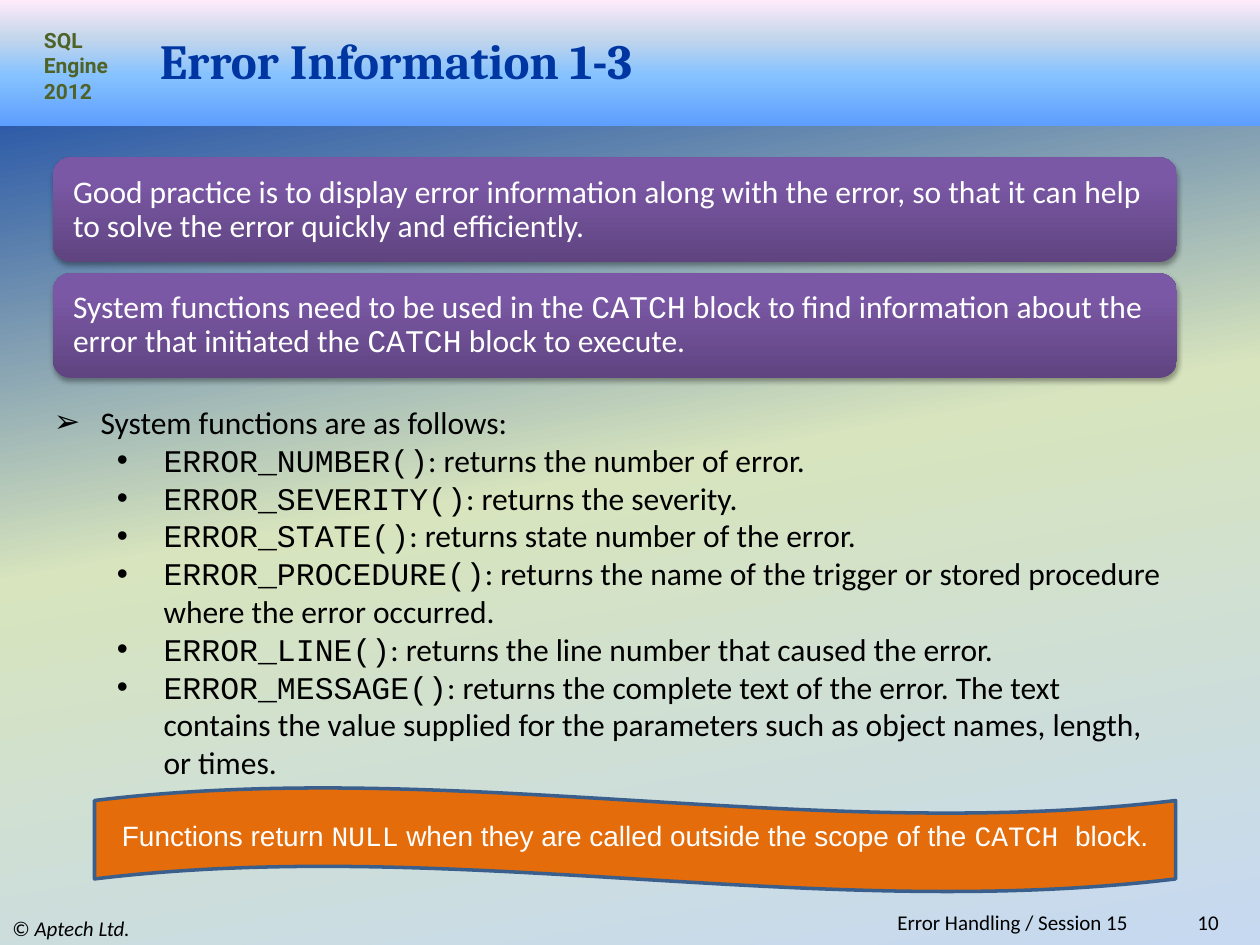
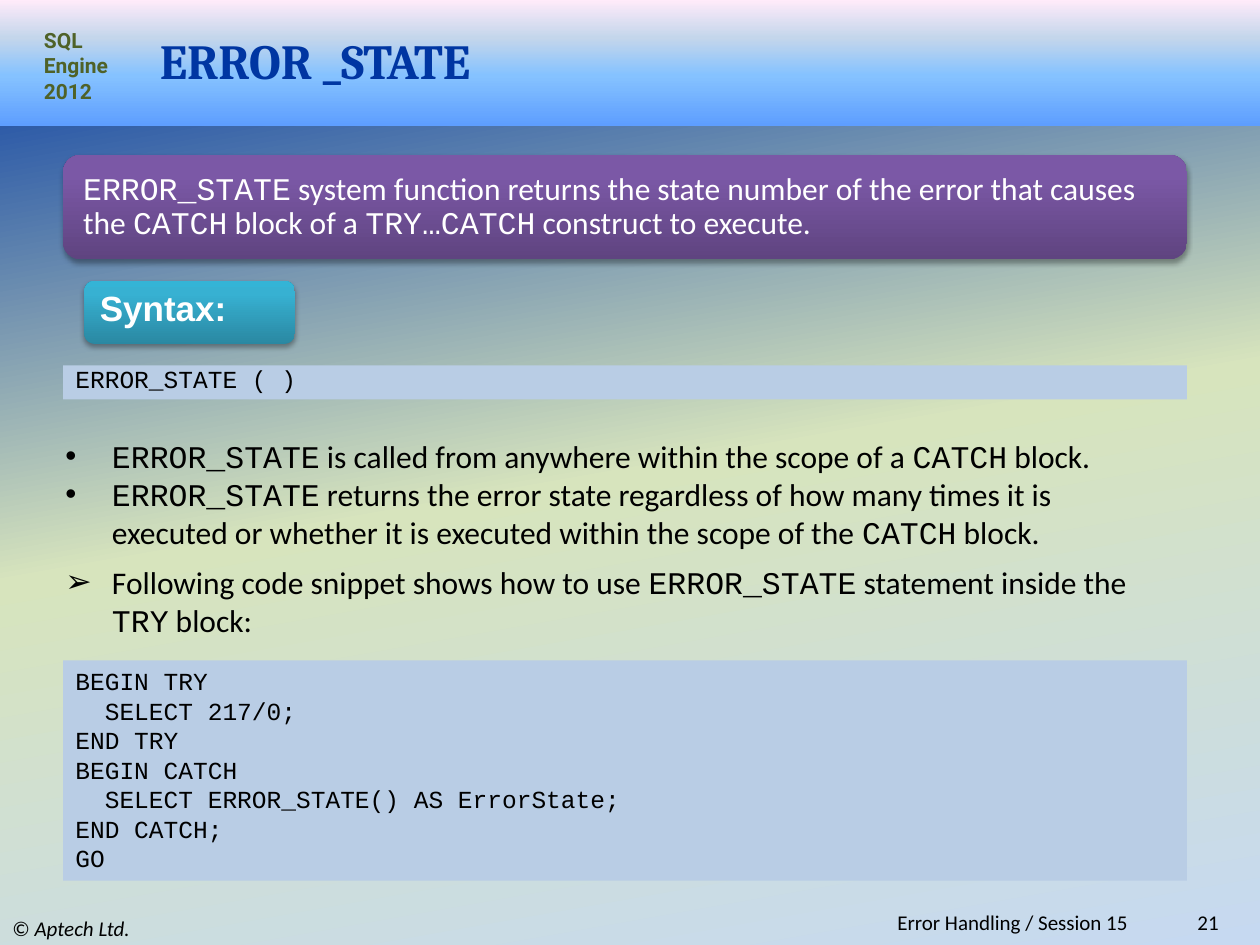
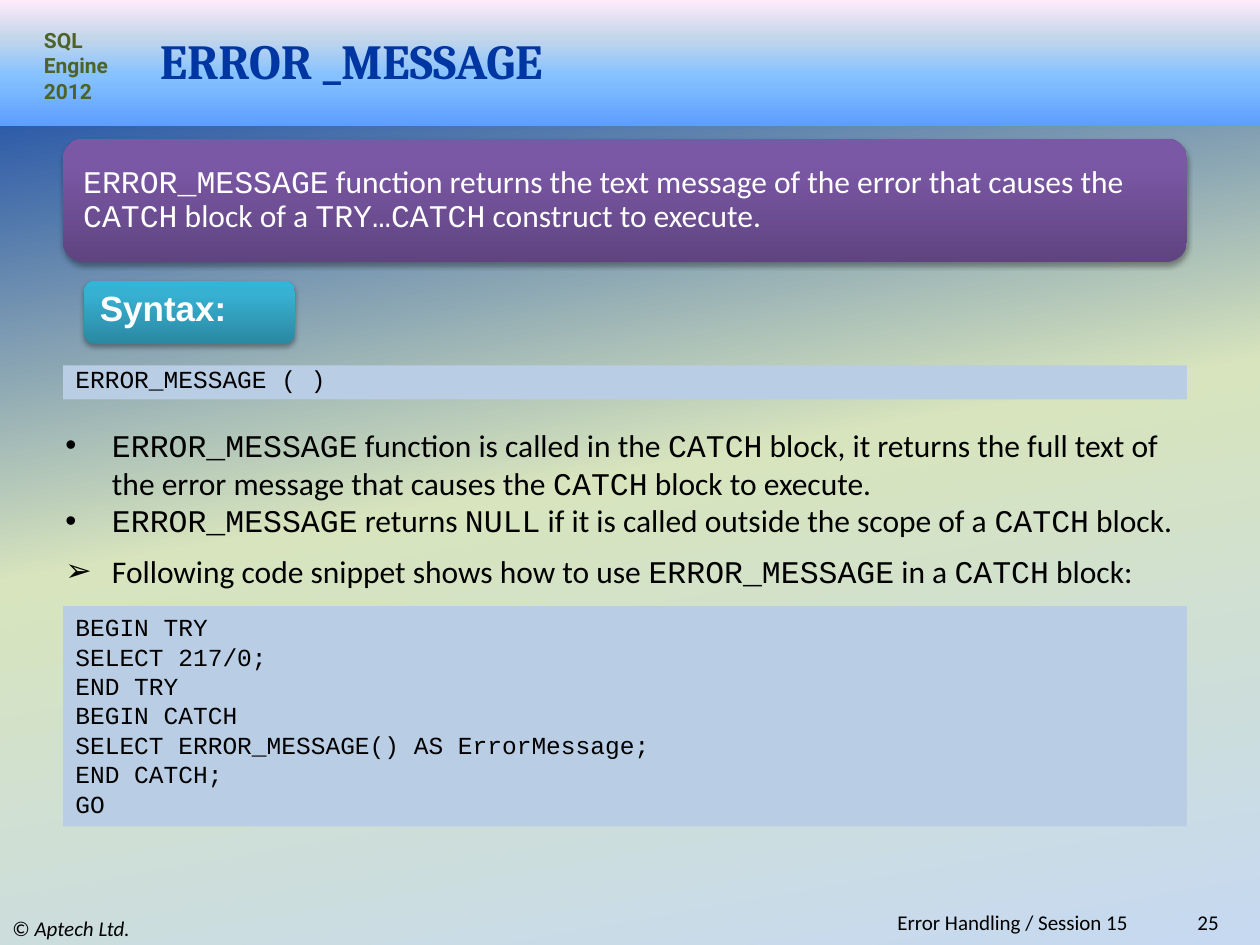
from dataclasses import dataclass
from typing import NamedTuple

from lxml.etree import SubElement
from pptx import Presentation
from pptx.dml.color import RGBColor
from pptx.enum.shapes import MSO_SHAPE as Preset
from pptx.enum.text import MSO_ANCHOR as Anchor, PP_ALIGN as Align
from pptx.oxml.ns import qn
from pptx.util import Inches, Pt


class Box(NamedTuple):
    """A rectangle in inches."""
    left: float
    top: float
    width: float
    height: float

    def inner(self, left, top, width, height):
        """Return a box placed relative to this one."""
        return Box(self.left + left, self.top + top, width, height)

    def lengths(self):
        """Return the four sides as lengths."""
        return [Inches(value) for value in self]


@dataclass(frozen=True)
class Theme:
    """Colours, fonts and type sizes of the deck."""
    background = [(0, "0036A2"), (50, "D7E4BD"), (100, "C6D9F1")]
    band = [(0, "5E9EFF"), (40, "85C2FF"), (70, "C4D6EB"), (100, "FFEBFA")]
    purple = [(0, "5F4480"), (80, "7B58A6"), (100, "7C57A8")]
    teal = [(0, "2A88A2"), (80, "37B1D2"), (100, "34B4D6")]
    title = "0036A2"
    course = "4F6228"
    code_fill = "B9CDE5"
    wave_fill = "E46C0A"
    wave_line = "3A5F8C"
    black = "000000"
    white = "FFFFFF"
    body_font = "Calibri"
    code_font = "Courier New"
    title_font = "Cambria"
    course_font = "Roboto"
    label_font = "Arial"
    title_size = 28
    label_size = 20
    body_size = 18
    wave_size = 16
    code_size = 14
    small_size = 12


THEME = Theme()
PAGE = Box(0, 0, 10, 7.5)
CONTENT_WIDTH = 8.92
HANGING = 0.37


def set_gradient(fill, element, stops, angle):
    """Fill with colour stops along a clockwise angle."""
    fill.gradient()
    fill.gradient_angle = 360 - angle
    stop_list = element.find(".//" + qn("a:gsLst"))
    for stop in list(stop_list):
        stop_list.remove(stop)
    for position, colour in stops:
        stop = SubElement(stop_list, qn("a:gs"), pos=str(position * 1000))
        SubElement(stop, qn("a:srgbClr"), val=colour)


def add_shadow(shape):
    """Give a shape a soft shadow below it."""
    effects = shape._element.spPr.find(qn("a:effectLst"))
    shadow = SubElement(effects, qn("a:outerShdw"), blurRad=str(Pt(3.1)), dist=str(Pt(1.8)),
                        dir="5400000", rotWithShape="0")
    colour = SubElement(shadow, qn("a:srgbClr"), val=THEME.black)
    SubElement(colour, qn("a:alpha"), val="35000")


def add_panel(shapes, box, fill, preset=Preset.RECTANGLE, line=None, shadow=False):
    """Add a preset shape with a solid or gradient fill."""
    shape = shapes.add_shape(preset, *box.lengths())
    shape.shadow.inherit = False
    if isinstance(fill, str):
        shape.fill.solid()
        shape.fill.fore_color.rgb = RGBColor.from_string(fill)
    else:
        set_gradient(shape.fill, shape._element.spPr, fill, 270)
    if line:
        shape.line.color.rgb = RGBColor.from_string(line)
        shape.line.width = Pt(2)
    else:
        shape.line.fill.background()
    if shadow:
        add_shadow(shape)
    return shape


def set_bullet(paragraph, character, level):
    """Give a paragraph a bullet with a hanging indent."""
    properties = paragraph._p.get_or_add_pPr()
    properties.set("marL", str(Inches(HANGING + level * 0.5)))
    properties.set("indent", str(-Inches(HANGING)))
    SubElement(properties, qn("a:buFont"), typeface="Arial")
    SubElement(properties, qn("a:buChar"), char=character)
    paragraph.level = level


def write_text(shape, text, size=THEME.body_size, font=THEME.body_font, colour=THEME.black,
               bold=None, align=Align.LEFT, anchor=Anchor.TOP, spacing=None, margin=None,
               bullets=(), italic_marks=False):
    """Write lines into a shape; backticks mark code or italic runs."""
    frame = shape.text_frame
    frame.word_wrap = True
    frame.vertical_anchor = anchor
    if margin is not None:
        frame.margin_left = frame.margin_right = Inches(margin)
        frame.margin_top = frame.margin_bottom = Inches(margin)
    for index, line in enumerate(text.split("\n")):
        paragraph = frame.add_paragraph() if index else frame.paragraphs[0]
        if bullets:
            set_bullet(paragraph, *bullets[min(index, len(bullets) - 1)])
        paragraph.alignment = align
        if spacing:
            paragraph.line_spacing = spacing
        for part, words in enumerate(line.split("`")):
            if not words:
                continue
            marked = part % 2 == 1
            run = paragraph.add_run()
            run.text = words
            run.font.name = THEME.code_font if marked and not italic_marks else font
            run.font.size = Pt(size)
            run.font.bold = bold
            run.font.italic = True if marked and italic_marks else None
            run.font.color.rgb = RGBColor.from_string(colour)


def add_text(shapes, box, text, **text_format):
    """Add a text box with formatted text."""
    write_text(shapes.add_textbox(*box.lengths()), text, **text_format)


def add_header(slide, box, title):
    """Draw the top band with the course name and the slide title."""
    add_panel(slide.shapes, box, THEME.band)
    add_text(slide.shapes, box.inner(0.25, 0.17, 0.75, 0.71), "SQL Engine 2012",
             size=THEME.small_size, font=THEME.course_font, colour=THEME.course, bold=True)
    add_text(slide.shapes, box.inner(1.17, 0.25, 8.33, 0.45), title, size=THEME.title_size,
             font=THEME.title_font, colour=THEME.title, bold=True, anchor=Anchor.MIDDLE)


def add_footer(slide, box, number):
    """Write the copyright, session name and slide number."""
    small = {"size": THEME.small_size, "anchor": Anchor.MIDDLE}
    add_text(slide.shapes, box.inner(0, 0, 3.33, 0.27), "© `Aptech Ltd.`",
             italic_marks=True, **small)
    add_text(slide.shapes, box.inner(2.5, 0, 6.55, 0.18), "Error Handling / Session 15",
             align=Align.RIGHT, **small)
    add_text(slide.shapes, box.inner(8.92, 0, 0.85, 0.18), str(number),
             align=Align.RIGHT, **small)


def add_base_slide(presentation, title, number):
    """Add a slide with background, header and footer."""
    slide = presentation.slides.add_slide(presentation.slide_layouts[6])
    set_gradient(slide.background.fill, slide._element, THEME.background, 80)
    add_header(slide, PAGE.inner(0, 0, PAGE.width, 1), title)
    add_footer(slide, PAGE.inner(0, 7.23, PAGE.width, 0.27), number)
    return slide


def add_statement(slide, box, text):
    """Draw a purple rounded panel grouped with its statement."""
    group = slide.shapes.add_group_shape()
    add_panel(group.shapes, box, THEME.purple, Preset.ROUNDED_RECTANGLE, shadow=True)
    add_text(group.shapes, box.inner(0.08, 0.04, box.width - 0.17, box.height - 0.08), text,
             colour=THEME.white, anchor=Anchor.MIDDLE, spacing=0.9, margin=0.08)


def add_code(slide, box, code, spacing=None):
    """Draw a pale panel holding code."""
    panel = add_panel(slide.shapes, box, THEME.code_fill)
    write_text(panel, code, size=THEME.code_size, font=THEME.code_font, spacing=spacing)


def add_syntax(slide, box, code):
    """Draw the syntax label above its line of code."""
    label = add_panel(slide.shapes, box.inner(0.17, 0, 1.67, 0.5), THEME.teal,
                      Preset.ROUNDED_RECTANGLE, shadow=True)
    write_text(label, "Syntax:", size=THEME.label_size, font=THEME.label_font,
               colour=THEME.white, bold=True, anchor=Anchor.MIDDLE, spacing=0.7)
    add_code(slide, box.inner(0, 0.67, box.width, 0.27), code, spacing=0.7)


def build_overview_slide(presentation):
    """Build the slide that lists the error functions."""
    slide = add_base_slide(presentation, "Error Information 1-3", 10)
    statements = [
        "Good practice is to display error information along with the error, "
        "so that it can help to solve the error quickly and efficiently.",
        "System functions need to be used in the `CATCH` block to find information "
        "about the error that initiated the `CATCH` block to execute.",
    ]
    for index, statement in enumerate(statements):
        add_statement(slide, Box(0.42, 1.25 + index * 0.92, CONTENT_WIDTH, 0.83), statement)
    functions = [
        ("NUMBER", "the number of error."),
        ("SEVERITY", "the severity."),
        ("STATE", "state number of the error."),
        ("PROCEDURE", "the name of the trigger or stored procedure where the error occurred."),
        ("LINE", "the line number that caused the error."),
        ("MESSAGE", "the complete text of the error. The text contains the value supplied "
                    "for the parameters such as object names, length, or times."),
    ]
    lines = ["System functions are as follows:"]
    lines += [f"`ERROR_{name}()`: returns {result}" for name, result in functions]
    add_text(slide.shapes, Box(0.33, 3.15, 9, 3.43), "\n".join(lines),
             bullets=[("➢", 0), ("•", 1)])
    wave = add_panel(slide.shapes, Box(0.75, 6.25, 8.58, 0.83), THEME.wave_fill, Preset.WAVE,
                     line=THEME.wave_line)
    write_text(wave, "Functions return `NULL` when they are called outside the scope of the "
               "`CATCH `block.", size=THEME.wave_size, font=THEME.label_font,
               colour=THEME.white, align=Align.CENTER, anchor=Anchor.MIDDLE, spacing=0.7)


def build_function_slide(presentation, name, number, statement, statement_box, notes, notes_box,
                         usage, code, code_top):
    """Build a slide that explains one error function."""
    slide = add_base_slide(presentation, f"ERROR _{name}", number)
    add_statement(slide, statement_box, statement)
    add_syntax(slide, Box(0.5, 2.23, CONTENT_WIDTH, 0.94), f"ERROR_{name} ( )")
    add_text(slide.shapes, notes_box, notes, bullets=[("•", 0)])
    add_text(slide.shapes, notes_box.inner(0, 1, 9.08, code_top - notes_box.top - 1.08),
             f"Following code snippet shows how to use `ERROR_{name}` {usage}",
             bullets=[("➢", 0)])
    add_code(slide, Box(0.5, code_top, CONTENT_WIDTH, 1.75), code)


def main():
    """Build and save the presentation."""
    presentation = Presentation()
    presentation.slide_width = Inches(PAGE.width)
    presentation.slide_height = Inches(PAGE.height)
    build_overview_slide(presentation)
    build_function_slide(
        presentation, "STATE", 21,
        statement="`ERROR_STATE` system function returns the state number of the error that "
                  "causes the `CATCH` block of a `TRY…CATCH` construct to execute.",
        statement_box=Box(0.5, 1.23, CONTENT_WIDTH, 0.83),
        notes="`ERROR_STATE` is called from anywhere within the scope of a `CATCH` block.\n"
              "`ERROR_STATE` returns the error state regardless of how many times it is "
              "executed or whether it is executed within the scope of the `CATCH` block.",
        notes_box=Box(0.42, 3.42, 8.92, 1.01),
        usage="statement inside the `TRY` block:",
        code="BEGIN TRY\n  SELECT 217/0;\nEND TRY\nBEGIN CATCH\n"
             "  SELECT ERROR_STATE() AS ErrorState;\nEND CATCH;\nGO",
        code_top=5.24)
    build_function_slide(
        presentation, "MESSAGE", 25,
        statement="`ERROR_MESSAGE` function returns the text message of the error that causes "
                  "the `CATCH` block of a `TRY…CATCH` construct to execute.",
        statement_box=Box(0.5, 1.1, CONTENT_WIDTH, 0.98),
        notes="`ERROR_MESSAGE` function is called in the `CATCH` block, it returns the full "
              "text of the error message that causes the `CATCH` block to execute.\n"
              "`ERROR_MESSAGE` returns `NULL` if it is called outside the scope of a "
              "`CATCH` block.",
        notes_box=Box(0.42, 3.33, 9.08, 1.01),
        usage="in a `CATCH` block:",
        code="BEGIN TRY\nSELECT 217/0;\nEND TRY\nBEGIN CATCH\n"
             "SELECT ERROR_MESSAGE() AS ErrorMessage;\nEND CATCH;\nGO",
        code_top=4.81)
    presentation.save("out.pptx")


if __name__ == "__main__":
    main()
